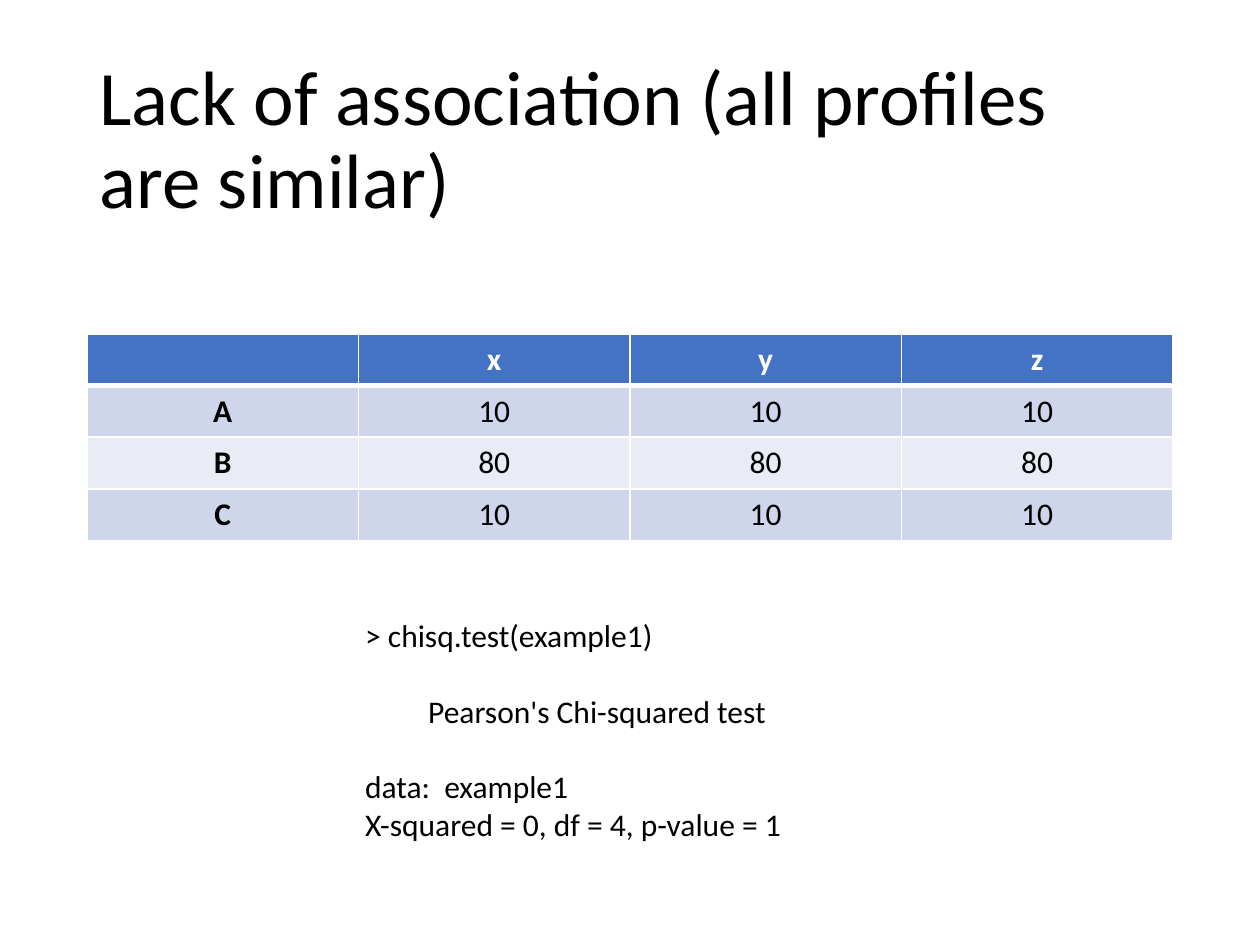
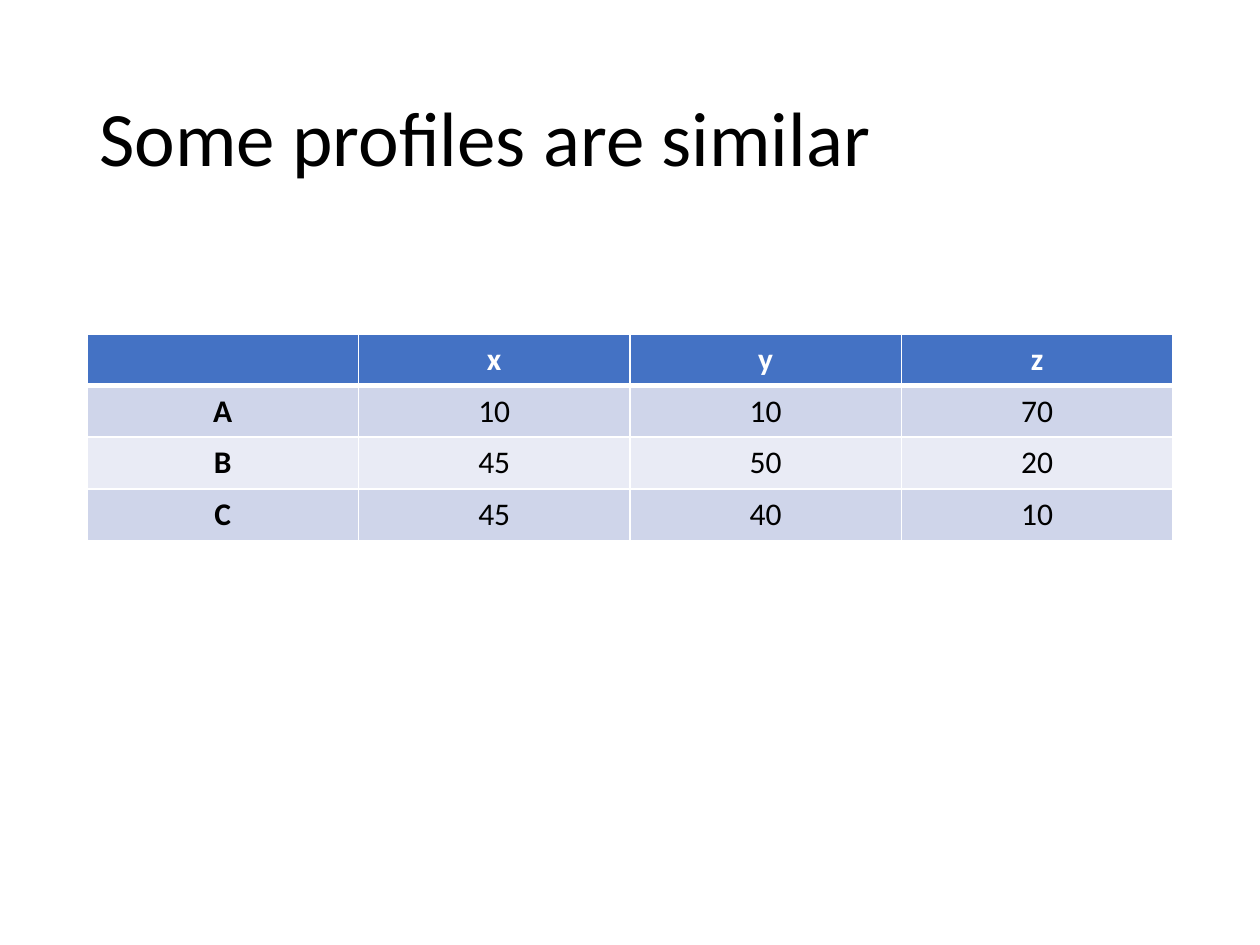
from lxml import etree
from pptx import Presentation
from pptx.dml.color import RGBColor
from pptx.enum.text import MSO_ANCHOR, MSO_AUTO_SIZE, PP_ALIGN
from pptx.oxml.ns import qn
from pptx.util import Inches, Pt

LEFT, CENTER = PP_ALIGN.LEFT, PP_ALIGN.CENTER
MIDDLE = MSO_ANCHOR.MIDDLE
NO_FIT, GROW = MSO_AUTO_SIZE.NONE, MSO_AUTO_SIZE.SHAPE_TO_FIT_TEXT

BLACK = RGBColor(0x00, 0x00, 0x00)
WHITE = RGBColor(0xFF, 0xFF, 0xFF)
HEADER_BLUE = RGBColor(0x44, 0x72, 0xC4)
BANDS = RGBColor(0xCF, 0xD5, 0xEA), RGBColor(0xE9, 0xEB, 0xF5)

COLUMNS = ["", "x", "y", "z"]
# Test output lines: text, indent in inches, space before in points
CHI_SQUARED = [
    ("> chisq.test(example1)", 0, 0),
    ("Pearson's Chi-squared test", 0.5, 21.6),
    ("data:  example1", 0, 21.6),
    ("X-squared = 0, df = 4, p-value = 1", 0, 0),
]
SLIDES = [
    {
        "title": "Lack of association (all profiles are similar)",
        "profiles": [("A", 10, 10, 10), ("B", 80, 80, 80), ("C", 10, 10, 10)],
        "output": CHI_SQUARED,
    },
    {
        "title": "Some profiles are similar",
        "profiles": [("A", 10, 10, 70), ("B", 45, 50, 20), ("C", 45, 40, 10)],
        "output": [],
    },
]

SLIDE_W, SLIDE_H = 10, 7.5
MARGIN = 0.69
CONTENT_W = SLIDE_W - 2 * MARGIN
ROW_H = 0.41
TITLE_BOX = MARGIN, 0.4, CONTENT_W, 1.45
OUTPUT_BOX = 2.8, 4.84, SLIDE_W / 2, 1.92

TITLE_FONT = {"name": "Calibri", "size": Pt(44), "bold": False}
BODY_FONT = {"name": "Calibri", "size": Pt(18), "bold": False}


def apply(target, values):
    for name, value in values.items():
        setattr(target, name, value)


def write(p, text, font, color=BLACK, **changes):
    r = p.add_run()
    r.text = text
    apply(r.font, {**font, **changes})
    r.font.color.rgb = color


def add_title(s, text):
    title = s.shapes.title
    names = ("left", "top", "width", "height")
    apply(title, dict(zip(names, map(Inches, TITLE_BOX))))
    tf = title.text_frame
    apply(tf, {"word_wrap": True, "auto_size": NO_FIT, "vertical_anchor": MIDDLE})
    p = tf.paragraphs[0]
    apply(p, {"alignment": LEFT, "line_spacing": 0.9})
    write(p, text, TITLE_FONT)


def add_borders(cell, widths):
    """Draw white borders; widths are points for left, right, top, bottom."""
    tc_pr = cell._tc.get_or_add_tcPr()
    for side, width in zip("LRTB", widths):
        ln = etree.SubElement(tc_pr, qn(f"a:ln{side}"), w=str(Pt(width)))
        fill = etree.SubElement(ln, qn("a:solidFill"))
        etree.SubElement(fill, qn("a:srgbClr"), val=str(WHITE))


def add_profiles(s, profiles):
    rows = [COLUMNS, *profiles]
    box = MARGIN, 2.65, CONTENT_W, ROW_H * len(rows)
    table = s.shapes.add_table(len(rows), len(COLUMNS), *map(Inches, box)).table
    for i, row in enumerate(rows):
        header = i == 0
        fill = HEADER_BLUE if header else BANDS[(i - 1) % 2]
        widths = (1, 1, 3 if i == 1 else 1, 3 if header else 1)
        for j, value in enumerate(row):
            cell = table.cell(i, j)
            add_borders(cell, widths)
            cell.fill.solid()
            cell.fill.fore_color.rgb = fill
            cell.vertical_anchor = MIDDLE
            p = cell.text_frame.paragraphs[0]
            p.alignment = CENTER
            write(p, str(value), BODY_FONT, WHITE if header else BLACK,
                  bold=header or j == 0)


def add_output(s, lines):
    tf = s.shapes.add_textbox(*map(Inches, OUTPUT_BOX)).text_frame
    apply(tf, {"word_wrap": True, "auto_size": GROW})
    for i, (text, indent, gap) in enumerate(lines):
        p = tf.add_paragraph() if i else tf.paragraphs[0]
        p.space_before = Pt(gap)
        p._p.get_or_add_pPr().set("marL", str(Inches(indent)))
        write(p, text, BODY_FONT)


def main():
    prs = Presentation()
    prs.slide_width, prs.slide_height = Inches(SLIDE_W), Inches(SLIDE_H)
    title_only = prs.slide_layouts.get_by_name("Title Only")
    for content in SLIDES:
        s = prs.slides.add_slide(title_only)
        add_title(s, content["title"])
        add_profiles(s, content["profiles"])
        if content["output"]:
            add_output(s, content["output"])
    prs.save("out.pptx")


if __name__ == "__main__":
    main()
